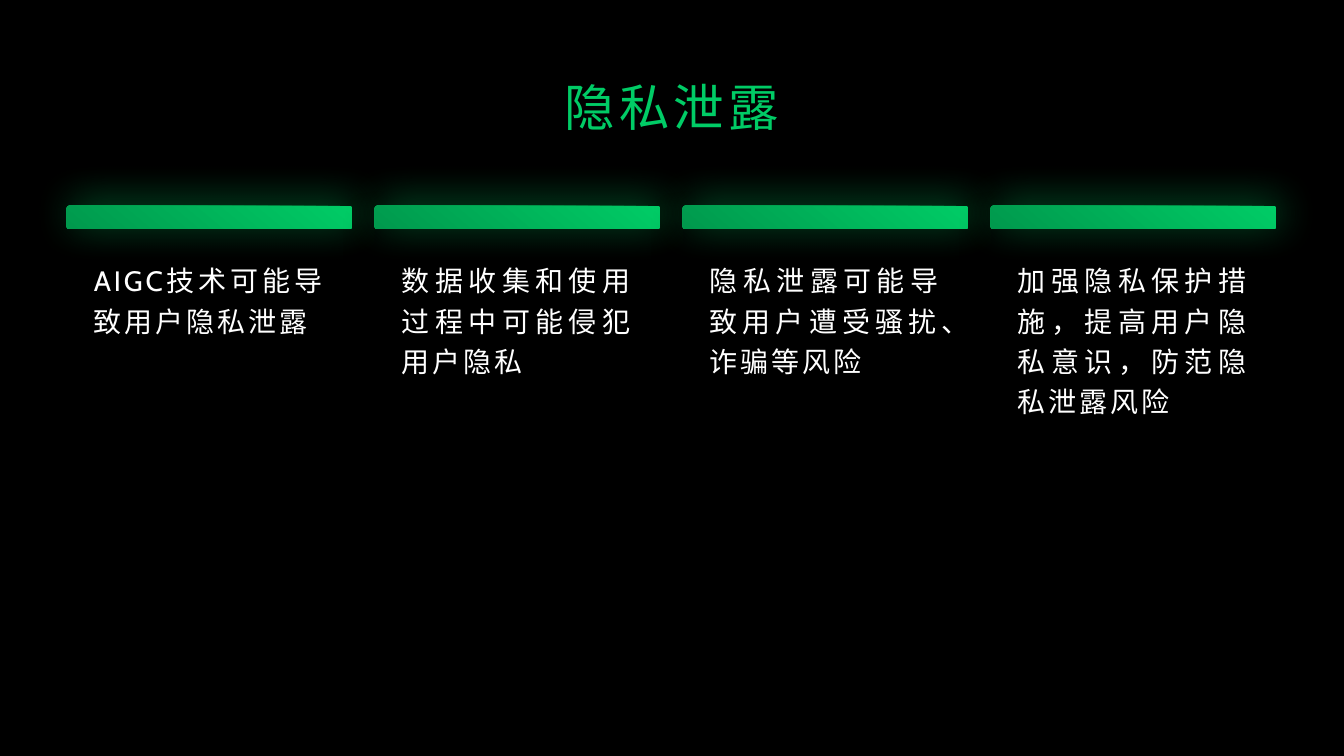
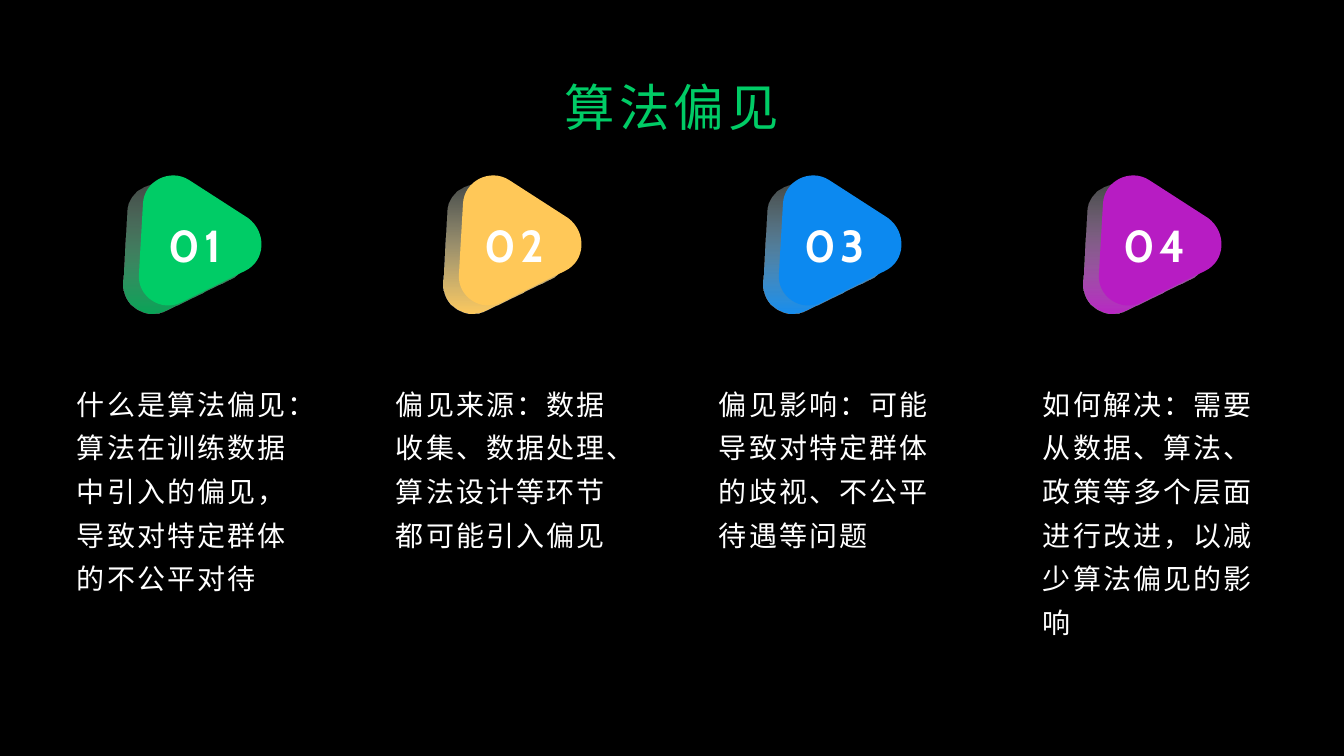
from pptx import Presentation
from pptx.dml.color import RGBColor
from pptx.enum.shapes import MSO_SHAPE
from pptx.enum.text import MSO_ANCHOR, PP_ALIGN
from pptx.oxml.ns import qn
from lxml.etree import SubElement

PX = 9144000 / 1008  # EMU per pixel
COLORS = {
    "black": "000000", "white": "FFFFFF", "mint": "F0FFF7",
    "green": "00CC66", "deep_green": "00994D",
    "yellow": "FFC858", "blue": "0C89F0", "purple": "B71CC3",
}
COLORS = {name: RGBColor.from_string(code) for name, code in COLORS.items()}


def write_text(shape, text, size, color, spacing, align=PP_ALIGN.LEFT,
               font="Cabin", bold=False, line_spacing=None,
               anchor=MSO_ANCHOR.TOP):
    frame = shape.text_frame
    frame.text = text
    frame.word_wrap = True
    frame.vertical_anchor = anchor
    para = frame.paragraphs[0]
    para.alignment = align
    para.line_spacing = line_spacing
    span = para.runs[0]
    span.font.name = font
    span.font.size = size * 12700
    span.font.bold = bold
    span.font.color.rgb = COLORS[color]
    span._r.get_or_add_rPr().set("spc", str(round(spacing * 100)))


def add_shadow(shape, color, alpha, blur, distance, angle):
    shape.shadow.inherit = False
    effects = shape.element.spPr.find(qn("a:effectLst"))
    shadow = SubElement(effects, qn("a:outerShdw"), blurRad=str(blur * 12700),
                        dist=str(distance * 12700), dir=str(angle * 60000),
                        algn="ctr", rotWithShape="0")
    tone = SubElement(shadow, qn("a:srgbClr"), val=str(COLORS[color]))
    SubElement(tone, qn("a:alpha"), val=str(alpha * 1000))


# Shared background and titles
deck = Presentation()
deck.slide_width, deck.slide_height = round(1344 * PX), round(756 * PX)
background = deck.slide_master.background.fill
background.solid()
background.fore_color.rgb = COLORS["black"]

pages = []
for heading in ("隐私泄露", "算法偏见"):
    page = deck.slides.add_slide(deck.slide_layouts[5])
    title = page.shapes.title
    title.left, title.top, title.width, title.height = [
        round(length * PX) for length in (67, 67, 1210, 78)]
    write_text(title, heading, 36, "green", 3, PP_ALIGN.CENTER, "Karla",
               anchor=MSO_ANCHOR.MIDDLE)
    pages.append(page)
privacy_page, bias_page = pages

# Privacy: four cards, each under a glowing bar
privacy_points = [
    "AIGC技术可能导致用户隐私泄露",
    "数据收集和使用过程中可能侵犯用户隐私",
    "隐私泄露可能导致用户遭受骚扰、诈骗等风险",
    "加强隐私保护措施，提高用户隐私意识，防范隐私泄露风险",
]
for index, point in enumerate(privacy_points):
    left = 67 + 308 * index
    card, bar = [
        privacy_page.shapes.add_shape(
            MSO_SHAPE.ROUNDED_RECTANGLE, round(left * PX), round(206 * PX),
            round(width * PX), round(height * PX))
        for width, height in ((286, 441), (285, 23))]
    card.adjustments[0] = 0
    card.fill.solid()
    card.fill.fore_color.rgb = COLORS["black"]
    card.line.fill.background()
    add_shadow(card, "black", 40, 22, 9, 106)

    bar.adjustments[0] = 0.08
    bar.fill.gradient()
    bar.fill.gradient_angle = 230
    for stop, color in zip(bar.fill.gradient_stops, ("green", "deep_green")):
        stop.color.rgb = COLORS[color]
    bar.line.fill.background()
    add_shadow(bar, "green", 45, 30, 5, 315)

    box = privacy_page.shapes.add_textbox(
        round((left + 17) * PX), round(252 * PX), round(251 * PX), round(375 * PX))
    write_text(box, point, 20, "white", 2, PP_ALIGN.JUSTIFY, line_spacing=1.2)

# Rounded triangle: a start, then three points for each curve
sides_and_corners = [
    [(2, 106)] * 3, [(0, 129), (25, 145), (45, 134)],
    [(108, 103)] * 3, [(129, 93), (130, 64), (111, 50)],
    [(52, 12)] * 3, [(33, 0), (7, 13), (6, 36)],
]
outline = [(6, 36)] + [point for curve in sides_and_corners for point in curve]

# Bias: numbered triangles
badges = [("green", 80), ("yellow", 100), ("blue", 100), ("purple", 100)]
for index, (color, opacity) in enumerate(badges):
    left = 122 + 320 * index
    triangles = []
    for x, y in ((left, 176), (left + 15, 168)):
        points = [(x + dx, y + dy) for dx, dy in outline]
        builder = bias_page.shapes.build_freeform(*points[0], scale=PX)
        builder.add_line_segments(points[1:], close=True)
        triangle = builder.convert_to_shape()
        # Join each three line ends into one curve
        drawn = next(triangle.element.iter(qn("a:path")))
        lines = drawn.findall(qn("a:lnTo"))
        for first in range(0, len(lines), 3):
            curve = drawn.makeelement(qn("a:cubicBezTo"))
            lines[first].addprevious(curve)
            for line in lines[first:first + 3]:
                curve.append(line[0])
                drawn.remove(line)
        triangle.shadow.inherit = False
        triangle.line.fill.background()
        triangles.append(triangle)
    back, front = triangles
    back.fill.gradient()
    back.fill.gradient_angle = 270
    for stop, tone in zip(back.fill.gradient_stops, ("mint", color)):
        stop.color.rgb = COLORS[tone]
    for tone, alpha in zip(back.element.spPr.iter(qn("a:srgbClr")), (30, opacity)):
        if alpha < 100:
            SubElement(tone, qn("a:alpha"), val=str(alpha * 1000))
    front.fill.solid()
    front.fill.fore_color.rgb = COLORS[color]

    number = bias_page.shapes.add_textbox(
        round((left + 32) * PX), round(210 * PX), round(81 * PX), round(70 * PX))
    write_text(number, f"{index + 1:02}", 32, "white", 3, PP_ALIGN.CENTER,
               bold=True, anchor=MSO_ANCHOR.MIDDLE)
    frame = number.text_frame
    frame.margin_left = frame.margin_top = frame.margin_right = frame.margin_bottom = 0

# Bias: explanations
bias_points = [
    (67, "什么是算法偏见：算法在训练数据中引入的偏见，导致对特定群体的不公平对待"),
    (386, "偏见来源：数据收集、数据处理、算法设计等环节都可能引入偏见"),
    (709, "偏见影响：可能导致对特定群体的歧视、不公平待遇等问题"),
    (1033, "如何解决：需要从数据、算法、政策等多个层面进行改进，以减少算法偏见的影响"),
]
for left, point in bias_points:
    box = bias_page.shapes.add_textbox(
        round(left * PX), round(372 * PX), round(243 * PX), round(313 * PX))
    write_text(box, point, 20, "white", 1.5, line_spacing=1.3)
    box.text_frame.margin_right = 0

deck.save("out.pptx")
